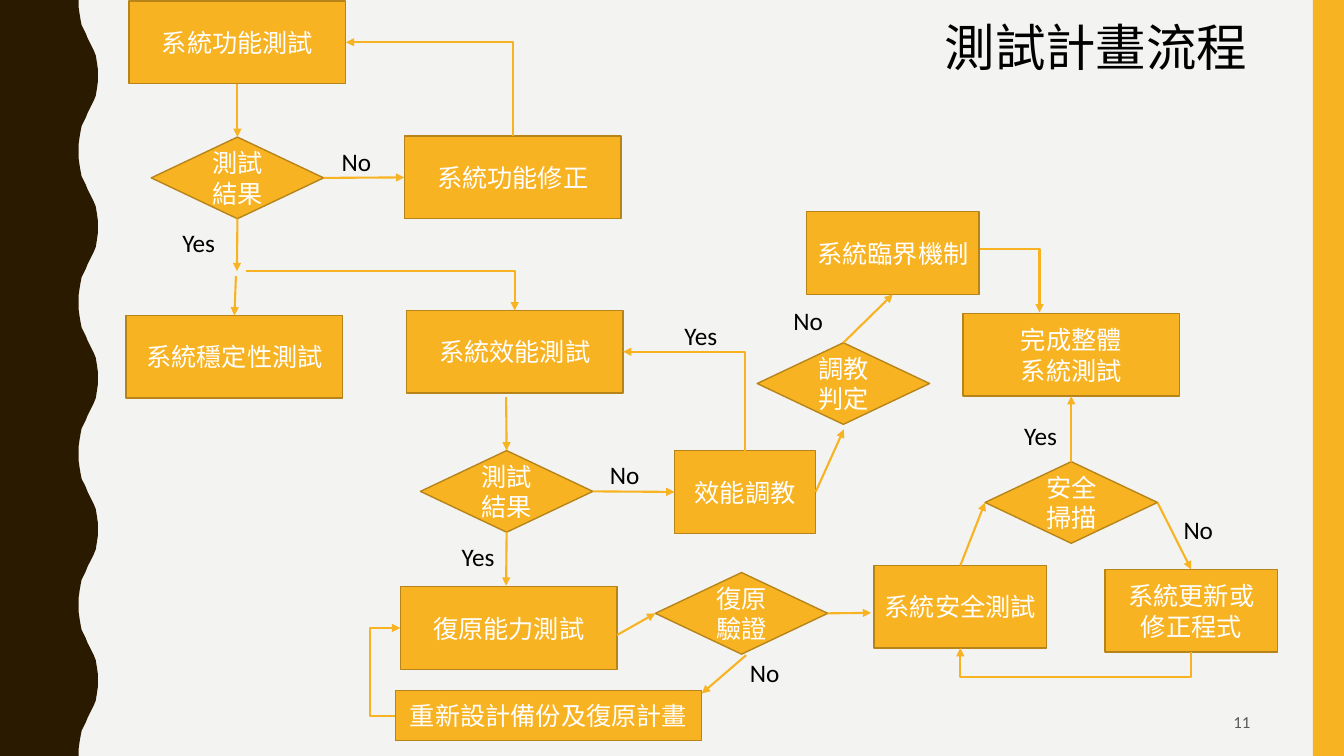
from dataclasses import dataclass

from lxml import etree
from pptx import Presentation
from pptx.dml.color import RGBColor
from pptx.enum.shapes import MSO_CONNECTOR, MSO_SHAPE
from pptx.enum.text import MSO_ANCHOR, MSO_AUTO_SIZE, PP_ALIGN
from pptx.oxml.ns import qn
from pptx.util import Inches, Pt

RECTANGLE, DIAMOND = MSO_SHAPE.RECTANGLE, MSO_SHAPE.DIAMOND
STRAIGHT, ELBOW = MSO_CONNECTOR.STRAIGHT, MSO_CONNECTOR.ELBOW
LEFT, CENTER, RIGHT = PP_ALIGN.LEFT, PP_ALIGN.CENTER, PP_ALIGN.RIGHT
TOP, MIDDLE = MSO_ANCHOR.TOP, MSO_ANCHOR.MIDDLE
SITE_TOP, SITE_LEFT, SITE_BOTTOM, SITE_RIGHT = range(4)


@dataclass(frozen=True)
class Theme:
    font: str = "Calibri"
    background: str = "F3F3F2"
    wave: str = "2A1A00"
    accent: str = "F8B323"
    outline: str = "B7841A"
    light: str = "FFFFFF"
    dark: str = "000000"
    muted: str = "595959"
    title_size: int = 36
    body_size: int = 18
    number_size: int = 12
    outline_width: float = 1
    arrow_width: float = 1.5


THEME = Theme()

# Content: sizes and places in inches
TITLE = ("測試計畫流程", (9.42 - 0.15, 0.11, 3.23, 0.71))
PAGE_NUMBER = ("11", (9.42, 6.97, 3.08, 0.38))

WIDE, MEDIUM, NARROW, LONG = (2.15, 0.82), (1.71, 0.82), (1.4, 0.82), (3.04, 0.5)
DECISION = (1.71, 0.81)

# name: (lines, preset, left and top, size)
STEPS = {
    "function test": (["系統功能測試"], RECTANGLE, (1.28, 0.01), WIDE),
    "function result": (["測試結果"], DIAMOND, (1.5, 1.36), DECISION),
    "function fix": (["系統功能修正"], RECTANGLE, (4.01, 1.35), WIDE),
    "stability test": (["系統穩定性測試"], RECTANGLE, (1.25, 3.13), WIDE),
    "performance test": (["系統效能測試"], RECTANGLE, (4.03, 3.08), WIDE),
    "performance result": (["測試結果"], DIAMOND, (4.17, 4.47), DECISION),
    "tuning": (["效能調教"], RECTANGLE, (6.69, 4.47), NARROW),
    "tuning check": (["調教判定"], DIAMOND, (7.51, 3.4), DECISION),
    "threshold": (["系統臨界機制"], RECTANGLE, (8, 2.1), MEDIUM),
    "recovery test": (["復原能力測試"], RECTANGLE, (3.97, 5.82), WIDE),
    "recovery check": (["復原驗證"], DIAMOND, (6.5, 5.68), DECISION),
    "redesign": (["重新設計備份及復原計畫"], RECTANGLE, (3.92, 6.85), LONG),
    "security test": (["系統安全測試"], RECTANGLE, (8.67, 5.61), MEDIUM),
    "security scan": (["安全掃描"], DIAMOND, (9.77, 4.58), DECISION),
    "update": (["系統更新或", "修正程式"], RECTANGLE, (10.96, 5.65), MEDIUM),
    "completion": (["完成整體", "系統測試"], RECTANGLE, (9.55, 3.11), WIDE),
}

# Each end is (step, side) or a point
STRAIGHT_ARROWS = [
    (("function test", SITE_BOTTOM), ("function result", SITE_TOP)),
    (("function result", SITE_BOTTOM), (2.35, 2.69)),
    (("function result", SITE_RIGHT), ("function fix", SITE_LEFT)),
    ((2.34, 2.74), ("stability test", SITE_TOP)),
    ((5.02, 3.94), ("performance result", SITE_TOP)),
    (("performance result", SITE_BOTTOM), (5.02, 5.81)),
    (("performance result", SITE_RIGHT), ("tuning", SITE_LEFT)),
    ((6.12, 6.3), ("recovery check", SITE_LEFT)),
    ((7.4, 6.5), (6.96, 6.88)),
    (("recovery check", SITE_RIGHT), (8.64, 6.08)),
    (("security test", SITE_TOP), ("security scan", SITE_LEFT)),
    (("security scan", SITE_TOP), ("completion", SITE_BOTTOM)),
    (("security scan", SITE_RIGHT), ("update", SITE_TOP)),
    (("tuning", SITE_RIGHT), (8.37, 4.26)),
    (("tuning check", SITE_TOP), ("threshold", SITE_BOTTOM)),
]

# (start, end, leaves vertically, detour coordinate for a three-part bend)
BENT_ARROWS = [
    (("function fix", SITE_TOP), ("function test", SITE_RIGHT), True, None),
    ((2.44, 2.69), ("performance test", SITE_TOP), False, None),
    (("tuning", SITE_TOP), ("performance test", SITE_RIGHT), True, None),
    (("redesign", SITE_LEFT), ("recovery test", SITE_LEFT), False, 3.67),
    ((9.72, 2.47), (10.31, 3.1), False, None),
    (("update", SITE_BOTTOM), ("security test", SITE_BOTTOM), True, 6.72),
]

LABEL_SIZE = (0.54, 0.4)
LABELS = [
    ("Yes", (1.71, 2.21)), ("No", (3.29, 1.4)), ("Yes", (4.48, 5.32)),
    ("No", (5.95, 4.51)), ("No", (7.34, 6.47)), ("Yes", (6.69, 3.13)),
    ("No", (11.64, 5.05)), ("Yes", (10.06, 4.12)), ("No", (7.77, 2.98)),
]

# Half of one wave on the left edge, as (x, y); the other half mirrors it
WAVE_PERIOD, WAVE_COUNT = 1.5, 5
HALF_WAVE = [
    (0.78, 0), (0.78, 0.07), (0.79, 0.14), (0.8, 0.2), (0.81, 0.25),
    (0.83, 0.29), (0.85, 0.33), (0.87, 0.38), (0.89, 0.42), (0.91, 0.46),
    (0.93, 0.5), (0.95, 0.55), (0.96, 0.61), (0.97, 0.68), (0.97, 0.75),
]


def inches(values):
    return [Inches(value) for value in values]


def paint(shape, fill, line=None):
    shape.shadow.inherit = False
    shape.fill.solid()
    shape.fill.fore_color.rgb = RGBColor.from_string(fill)
    if line:
        shape.line.color.rgb = RGBColor.from_string(line)
        shape.line.width = Pt(THEME.outline_width)
    else:
        shape.line.fill.background()


def write(shape, lines, size=THEME.body_size, color=THEME.dark, align=LEFT,
          anchor=TOP, wrap=True):
    frame = shape.text_frame
    frame.auto_size = MSO_AUTO_SIZE.NONE
    frame.word_wrap = wrap
    frame.vertical_anchor = anchor
    frame.text = "\n".join(lines)
    for paragraph in frame.paragraphs:
        paragraph.alignment = align
        font = paragraph.runs[0].font
        font.name, font.size = THEME.font, Pt(size)
        font.color.rgb = RGBColor.from_string(color)


def add_arrow(slide, steps, start, end, kind=STRAIGHT):
    points = [(0, 0) if place[0] in steps else place for place in (start, end)]
    arrow = slide.shapes.add_connector(kind, *inches(points[0] + points[1]))
    if start[0] in steps:
        arrow.begin_connect(steps[start[0]], start[1])
    if end[0] in steps:
        arrow.end_connect(steps[end[0]], end[1])
    arrow.line.color.rgb = RGBColor.from_string(THEME.accent)
    arrow.line.width = Pt(THEME.arrow_width)
    etree.SubElement(arrow.line._get_or_add_ln(), qn("a:tailEnd"), type="triangle")
    etree.SubElement(arrow.element.spPr, qn("a:effectLst"))
    return arrow


def bend(arrow, vertical, detour):
    begin, end = (arrow.begin_x, arrow.begin_y), (arrow.end_x, arrow.end_y)
    properties = arrow.element.spPr
    geometry = properties.find(qn("a:prstGeom"))
    if detour is None:
        geometry.set("prst", "bentConnector2")
    else:
        axis = int(vertical)
        share = (Inches(detour) - begin[axis]) / (end[axis] - begin[axis])
        guides = geometry.find(qn("a:avLst"))
        if guides is None:
            guides = etree.SubElement(geometry, qn("a:avLst"))
        etree.SubElement(guides, qn("a:gd"), name="adj1",
                         fmla=f"val {round(share * 100000)}")
    if vertical:
        # Leaves up or down and heads left: a quarter turn of the frame
        width, height = abs(end[1] - begin[1]), abs(end[0] - begin[0])
        arrow.left = (begin[0] + end[0] - width) // 2
        arrow.top = (begin[1] + end[1] - height) // 2
        arrow.width, arrow.height = width, height
        frame = properties.find(qn("a:xfrm"))
        for name, value in (("rot", "16200000"), ("flipH", "0"), ("flipV", "1")):
            frame.set(name, value)


def add_wave(slide):
    mirror = [(x, WAVE_PERIOD - y) for x, y in reversed(HALF_WAVE[1:-1])]
    edge = [(x, y + WAVE_PERIOD * index)
            for index in range(WAVE_COUNT) for x, y in HALF_WAVE + mirror]
    bottom = WAVE_PERIOD * WAVE_COUNT
    edge += [(HALF_WAVE[0][0], bottom), (0, bottom)]
    builder = slide.shapes.build_freeform(0, 0)
    builder.add_line_segments([inches(point) for point in edge], close=True)
    paint(builder.convert_to_shape(), THEME.wave)


def main():
    presentation = Presentation()
    presentation.slide_width, presentation.slide_height = inches((13.33, 7.5))
    slide = presentation.slides.add_slide(presentation.slide_layouts[5])
    slide.background.fill.solid()
    slide.background.fill.fore_color.rgb = RGBColor.from_string(THEME.background)

    # Side decoration
    add_wave(slide)
    band = slide.shapes.add_shape(RECTANGLE, *inches((13.02, 0, 0.31, 7.5)))
    paint(band, THEME.accent)

    # Title and page number
    title = slide.shapes.title
    title.left, title.top, title.width, title.height = inches(TITLE[1])
    write(title, [TITLE[0]], size=THEME.title_size, wrap=False)
    number = slide.shapes.add_textbox(*inches(PAGE_NUMBER[1]))
    write(number, [PAGE_NUMBER[0]], size=THEME.number_size, color=THEME.muted,
          align=RIGHT, anchor=MIDDLE)

    # Flowchart steps
    steps = {}
    for name, (lines, preset, place, size) in STEPS.items():
        steps[name] = slide.shapes.add_shape(preset, *inches(place + size))
        paint(steps[name], THEME.accent, THEME.outline)
        write(steps[name], lines, color=THEME.light, align=CENTER, anchor=MIDDLE)

    # Arrows and their labels
    for start, end in STRAIGHT_ARROWS:
        add_arrow(slide, steps, start, end)
    for start, end, vertical, detour in BENT_ARROWS:
        bend(add_arrow(slide, steps, start, end, ELBOW), vertical, detour)
    for text, place in LABELS:
        write(slide.shapes.add_textbox(*inches(place + LABEL_SIZE)), [text], wrap=False)

    presentation.save("out.pptx")


if __name__ == "__main__":
    main()
